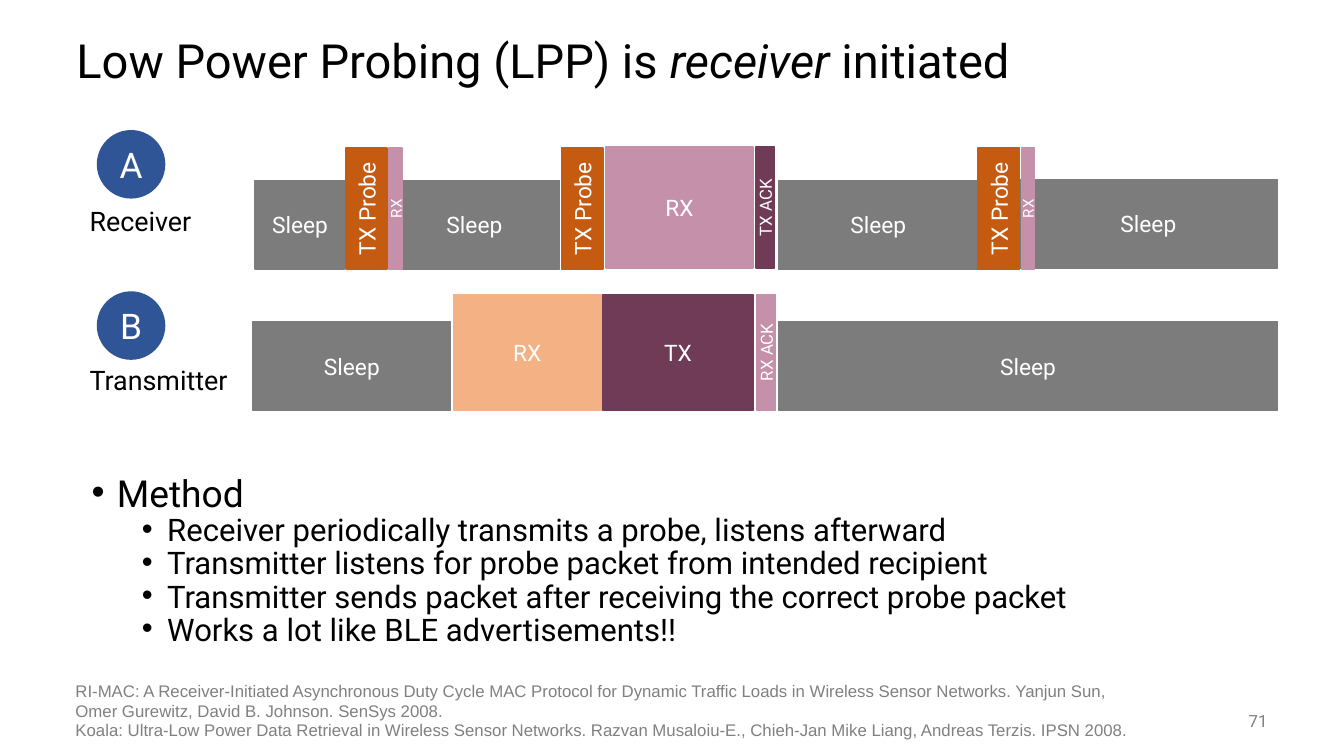
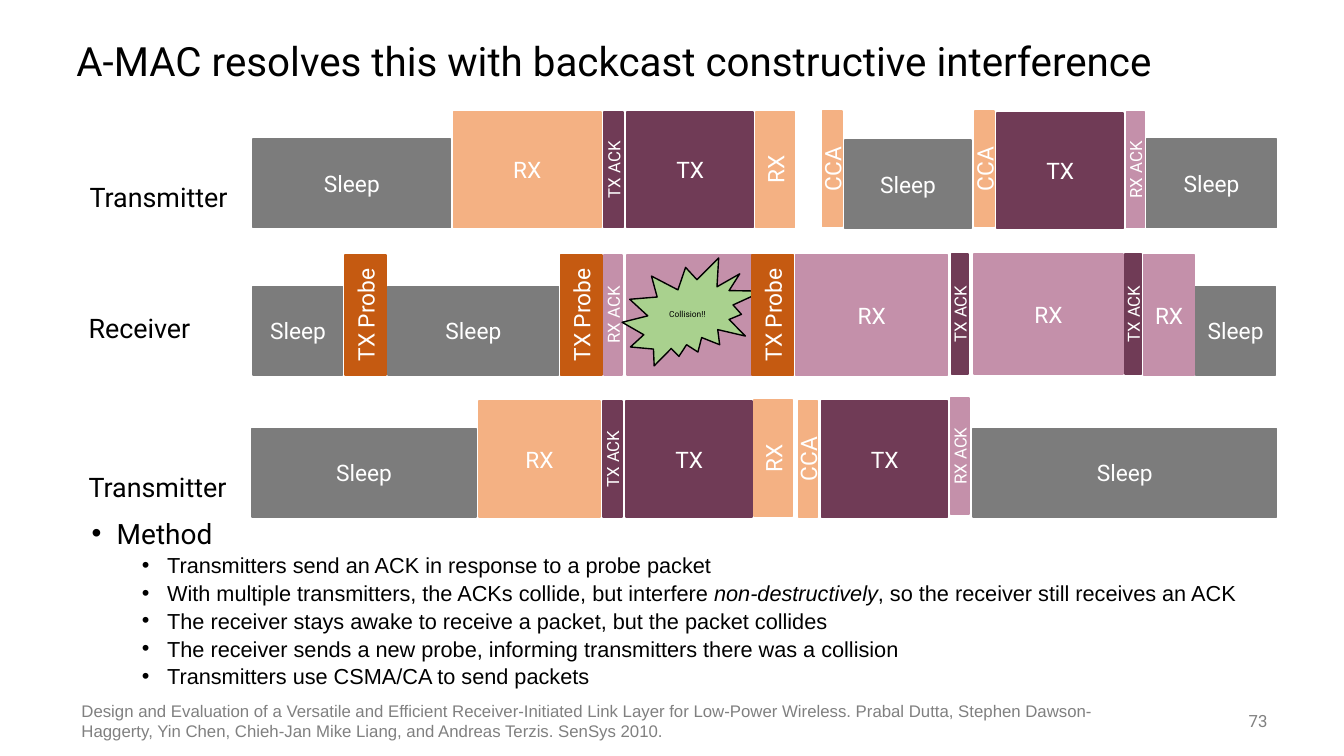
from pptx import Presentation
from pptx.dml.color import RGBColor
from pptx.enum.shapes import MSO_SHAPE
from pptx.enum.text import MSO_ANCHOR, PP_ALIGN
from pptx.util import Inches, Pt
from lxml import etree

RECT, OVAL, BURST = MSO_SHAPE.RECTANGLE, MSO_SHAPE.OVAL, MSO_SHAPE.EXPLOSION2
TOP, MIDDLE = MSO_ANCHOR.TOP, MSO_ANCHOR.MIDDLE
LEFT, CENTER, RIGHT = PP_ALIGN.LEFT, PP_ALIGN.CENTER, PP_ALIGN.RIGHT
DRAWING_NS = "{http://schemas.openxmlformats.org/drawingml/2006/main}"

BLACK, WHITE, MUTED, NODE_BLUE, GREEN = "000000", "FFFFFF", "808080", "2F5597", "A9D18E"
GRAY, RUST, PINK, PLUM, PEACH = "7C7C7C", "C55A11", "C490AA", "703B56", "F4B183"
SLEEP_HEIGHT = 0.88

# Radio states: label, fill, text size, vertical text
STATES = {
    "sleep": ("Sleep", GRAY, 16.2, False),
    "probe": ("TX Probe", RUST, 16.2, True),
    "receive": ("RX", PINK, 16.2, False),
    "brief receive": ("RX", PINK, 10.8, True),
    "collided receive": ("", PINK, 16.2, False),
    "listen": ("RX", PEACH, 16.2, False),
    "brief listen": ("RX", PEACH, 16.2, True),
    "channel check": ("CCA", PEACH, 16.2, True),
    "send": ("TX", PLUM, 16.2, False),
    "send ack": ("TX ACK", PLUM, 12, True),
    "receive ack": ("RX ACK", PINK, 12, True),
}

# Lanes: base is the bottom edge, tall the height of an awake state.
# Blocks: state, left, width and, if needed, a lift above the base.
# Text: an item is a string or a list of (text, italic) runs.
SLIDES = [
    {
        "title": [("Low Power Probing (LPP) is ", False), ("receiver", True),
                  (" initiated", False)],
        "title_size": 33.6,
        "number": "71",
        "nodes": [("A", 1.29), ("B", 2.89)],
        "lanes": [
            {"label": "Receiver", "label_at": (0.79, 1.98), "base": 2.67, "tall": 1.2,
             "blocks": [
                 ("sleep", 2.53, 0.89), ("probe", 3.43, 0.41), ("sleep", 3.86, 1.69),
                 ("brief receive", 3.86, 0.13), ("probe", 5.57, 0.41),
                 ("receive", 6.01, 1.46, 0.01), ("send ack", 7.5, 0.18, 0.01),
                 ("sleep", 7.72, 1.98), ("sleep", 10.11, 2.56, 0.01),
                 ("probe", 9.7, 0.41), ("brief receive", 10.13, 0.13)]},
            {"label": "Transmitter", "label_at": (0.79, 3.56), "base": 4.07, "tall": 1.15,
             "blocks": [
                 ("sleep", 2.51, 1.96), ("listen", 4.5, 1.46), ("send", 5.98, 1.49),
                 ("receive ack", 7.51, 0.18), ("sleep", 7.72, 4.95)]},
        ],
        "method_at": (0.81, 4.74, 11.72, 1.9),
        "method_style": {"spacing": 0.7, "head": 26.6, "size": 22.2, "font": "Roboto"},
        "method": [
            "Receiver periodically transmits a probe, listens afterward",
            "Transmitter listens for probe packet from intended recipient",
            "Transmitter sends packet after receiving the correct probe packet",
            "Works a lot like BLE advertisements!!",
        ],
        "citations": [
            ((0.65, 6.7, 10.64, 0.5),
             "RI-MAC: A Receiver-Initiated Asynchronous Duty Cycle MAC Protocol for Dynamic "
             "Traffic Loads in Wireless Sensor Networks. Yanjun Sun, Omer Gurewitz, "
             "David B. Johnson. SenSys 2008."),
            ((0.65, 7.09, 10.79, 0.3),
             "Koala: Ultra-Low Power Data Retrieval in Wireless Sensor Networks. "
             "Razvan Musaloiu-E., Chieh-Jan Mike Liang, Andreas Terzis. IPSN 2008."),
        ],
    },
    {
        "title": "A-MAC resolves this with backcast constructive interference",
        "title_size": 28.8,
        "number": "73",
        "nodes": [],
        "lanes": [
            {"label": "Transmitter", "label_at": (0.79, 1.74), "base": 2.26, "tall": 1.15,
             "blocks": [
                 ("sleep", 2.51, 1.96), ("listen", 4.5, 1.46), ("send ack", 5.99, 0.19),
                 ("send", 6.22, 1.25), ("brief listen", 7.5, 0.38),
                 ("channel check", 8.16, 0.19, 0.01), ("sleep", 8.38, 1.25, -0.01),
                 ("channel check", 9.67, 0.19, 0.01), ("send", 9.89, 1.25, -0.01),
                 ("receive ack", 11.17, 0.18), ("sleep", 11.37, 1.29)]},
            {"label": "Receiver", "label_at": (0.78, 3.04), "base": 3.72, "tall": 1.19,
             "blocks": [
                 ("sleep", 2.51, 0.89), ("probe", 3.42, 0.41), ("sleep", 3.85, 1.69),
                 ("probe", 5.56, 0.41), ("receive ack", 5.99, 0.18),
                 ("collided receive", 6.22, 1.24), ("probe", 7.46, 0.41),
                 ("receive", 7.89, 1.51), ("send ack", 9.44, 0.16, 0.01),
                 ("receive", 9.66, 1.48, 0.01), ("send ack", 11.16, 0.16, 0.01),
                 ("receive", 11.34, 0.51), ("sleep", 11.86, 0.79)]},
            {"label": "Transmitter", "label_at": (0.78, 4.62), "base": 5.13, "tall": 1.15,
             "blocks": [
                 ("sleep", 2.5, 2.22), ("listen", 4.75, 1.2), ("send ack", 5.98, 0.19),
                 ("send", 6.21, 1.25), ("brief listen", 7.48, 0.38, 0.01),
                 ("channel check", 7.92, 0.19), ("send", 8.15, 1.25),
                 ("receive ack", 9.43, 0.18, 0.03), ("sleep", 9.65, 3.01)]},
        ],
        "method_at": (0.81, 5.14, 12, 1.84),
        "method_style": {"spacing": 0.8, "head": 20, "size": 15.5, "font": "Arial"},
        "method": [
            "Transmitters send an ACK in response to a probe packet",
            [("With multiple transmitters, the ACKs collide, but interfere ", False),
             ("non-destructively", True),
             (", so the receiver still receives an ACK", False)],
            "The receiver stays awake to receive a packet, but the packet collides",
            "The receiver sends a new probe, informing transmitters there was a collision",
            "Transmitters use CSMA/CA to send packets",
        ],
        "citations": [
            ((0.71, 6.9, 10.66, 0.5),
             "Design and Evaluation of a Versatile and Efficient Receiver-Initiated Link Layer "
             "for Low-Power Wireless. Prabal Dutta, Stephen Dawson-Haggerty, Yin Chen, "
             "Chieh-Jan Mike Liang, and Andreas Terzis. SenSys 2010."),
        ],
    },
]


def rgb(color):
    return RGBColor.from_string(color)


def add_runs(paragraph, content, size, color=BLACK, font="Roboto"):
    for text, italic in [(content, False)] if isinstance(content, str) else content:
        run = paragraph.add_run()
        run.text = text
        run.font.name = font
        run.font.size = Pt(size)
        run.font.italic = italic
        run.font.color.rgb = rgb(color)


def text_frame(slide, at, anchor=TOP):
    frame = slide.shapes.add_textbox(*map(Inches, at)).text_frame
    frame.word_wrap = True
    frame.vertical_anchor = anchor
    return frame


def add_text(slide, at, content, size, color=BLACK, font="Roboto", anchor=MIDDLE,
             align=LEFT, spacing=None):
    paragraph = text_frame(slide, at, anchor).paragraphs[0]
    paragraph.alignment = align
    paragraph.line_spacing = spacing
    add_runs(paragraph, content, size, color, font)


def add_block(slide, kind, at, fill, label, size, color=WHITE, line=None, vertical=False):
    block = slide.shapes.add_shape(kind, *map(Inches, at))
    block.shadow.inherit = False
    block.fill.solid()
    block.fill.fore_color.rgb = rgb(fill)
    if line:
        block.line.color.rgb = rgb(line)
        block.line.width = Pt(1)
    else:
        block.line.fill.background()
    frame = block.text_frame
    frame.margin_left = frame.margin_right = frame.margin_top = frame.margin_bottom = 0
    frame.vertical_anchor = MIDDLE
    if vertical:
        block.element.txBody.bodyPr.set("vert", "vert270")
    if label:
        frame.paragraphs[0].alignment = CENTER
        add_runs(frame.paragraphs[0], label, size, color)


def add_lane(slide, lane):
    add_text(slide, (*lane["label_at"], 1.73, 0.42), lane["label"], 19.2)
    for state, left, width, *lift in lane["blocks"]:
        label, fill, size, vertical = STATES[state]
        height = SLEEP_HEIGHT if state == "sleep" else lane["tall"]
        top = lane["base"] - height - sum(lift)
        add_block(slide, RECT, (left, top, width, height), fill, label, size,
                  line=fill, vertical=vertical)
        if state == "collided receive":
            add_block(slide, BURST, (left - 0.05, top + 0.03, 1.4, 1.07), GREEN,
                      "Collision!!", 6, BLACK, line=BLACK)


def add_method(slide, at, items, style):
    frame = text_frame(slide, at)
    for index, content in enumerate(["Method", *items]):
        paragraph = frame.add_paragraph() if index else frame.paragraphs[0]
        level = 1 if index else 0
        paragraph.level = level
        paragraph.line_spacing = style["spacing"]
        paragraph.space_before = Pt(5 * level)
        properties = paragraph._p.get_or_add_pPr()
        properties.set("marL", str(Inches(0.75 if level else 0.25)))
        properties.set("indent", str(Inches(-0.25)))
        etree.SubElement(properties, DRAWING_NS + "buFont", typeface="Arial")
        etree.SubElement(properties, DRAWING_NS + "buChar", char="•")
        size, font = (style["size"], style["font"]) if level else (style["head"], "Roboto")
        add_runs(paragraph, content, size, font=font)


def build_slide(deck, page):
    slide = deck.slides.add_slide(deck.slide_layouts[6])
    # Title and page number
    add_text(slide, (0.66, 0.25, 12, 0.75), page["title"], page["title_size"], spacing=0.9)
    add_text(slide, (11.67, 6.95, 1, 0.4), page["number"], 12, MUTED, align=RIGHT)
    # Timelines
    for letter, top in page["nodes"]:
        add_block(slide, OVAL, (0.96, top, 0.68, 0.68), NODE_BLUE, letter, 25.2)
    for lane in page["lanes"]:
        add_lane(slide, lane)
    # Method and citations
    add_method(slide, page["method_at"], page["method"], page["method_style"])
    for at, citation in page["citations"]:
        add_text(slide, at, citation, 12, MUTED, "Arial", anchor=TOP)


def main():
    deck = Presentation()
    deck.slide_width, deck.slide_height = Inches(13.33), Inches(7.5)
    for page in SLIDES:
        build_slide(deck, page)
    deck.save("out.pptx")


if __name__ == "__main__":
    main()
